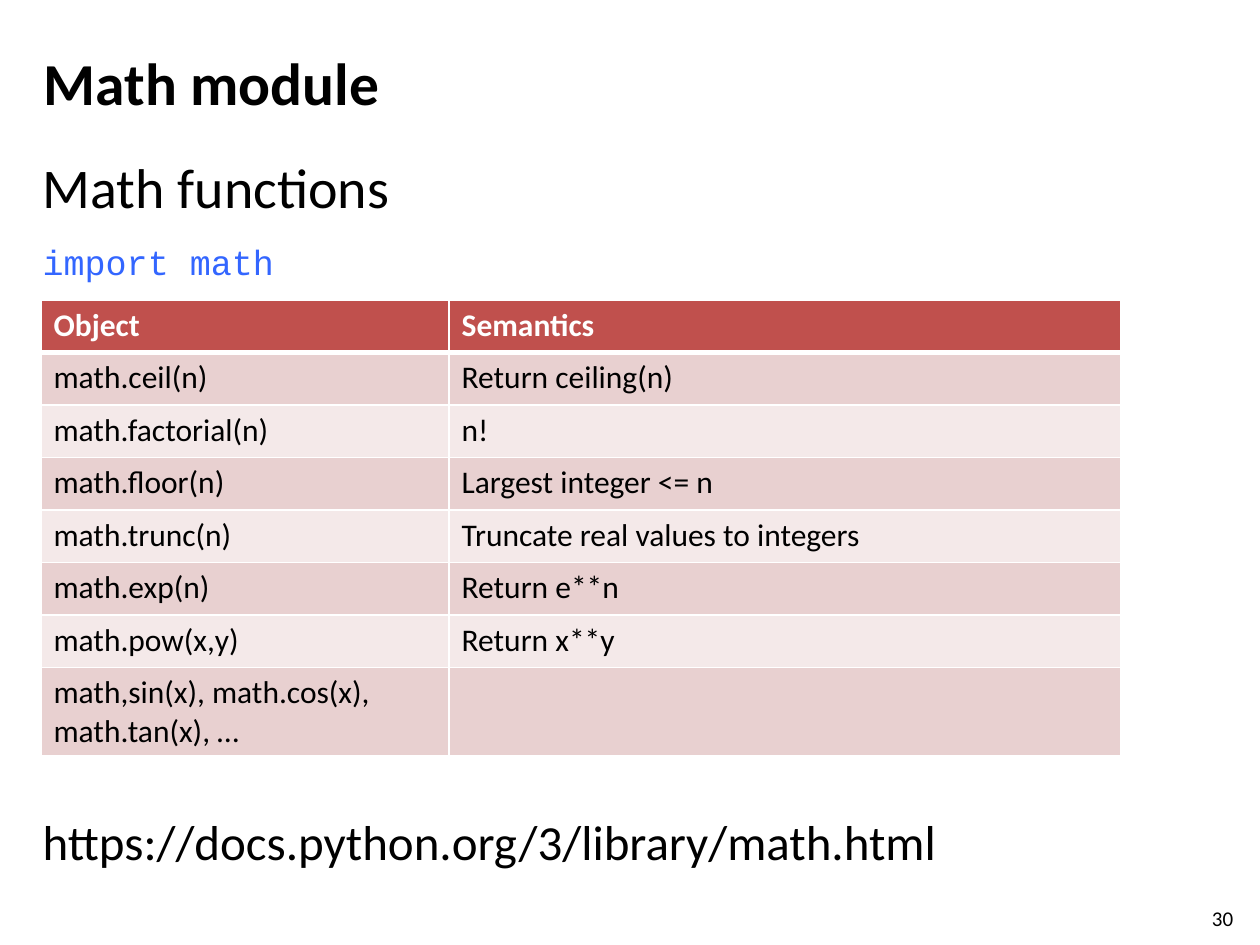
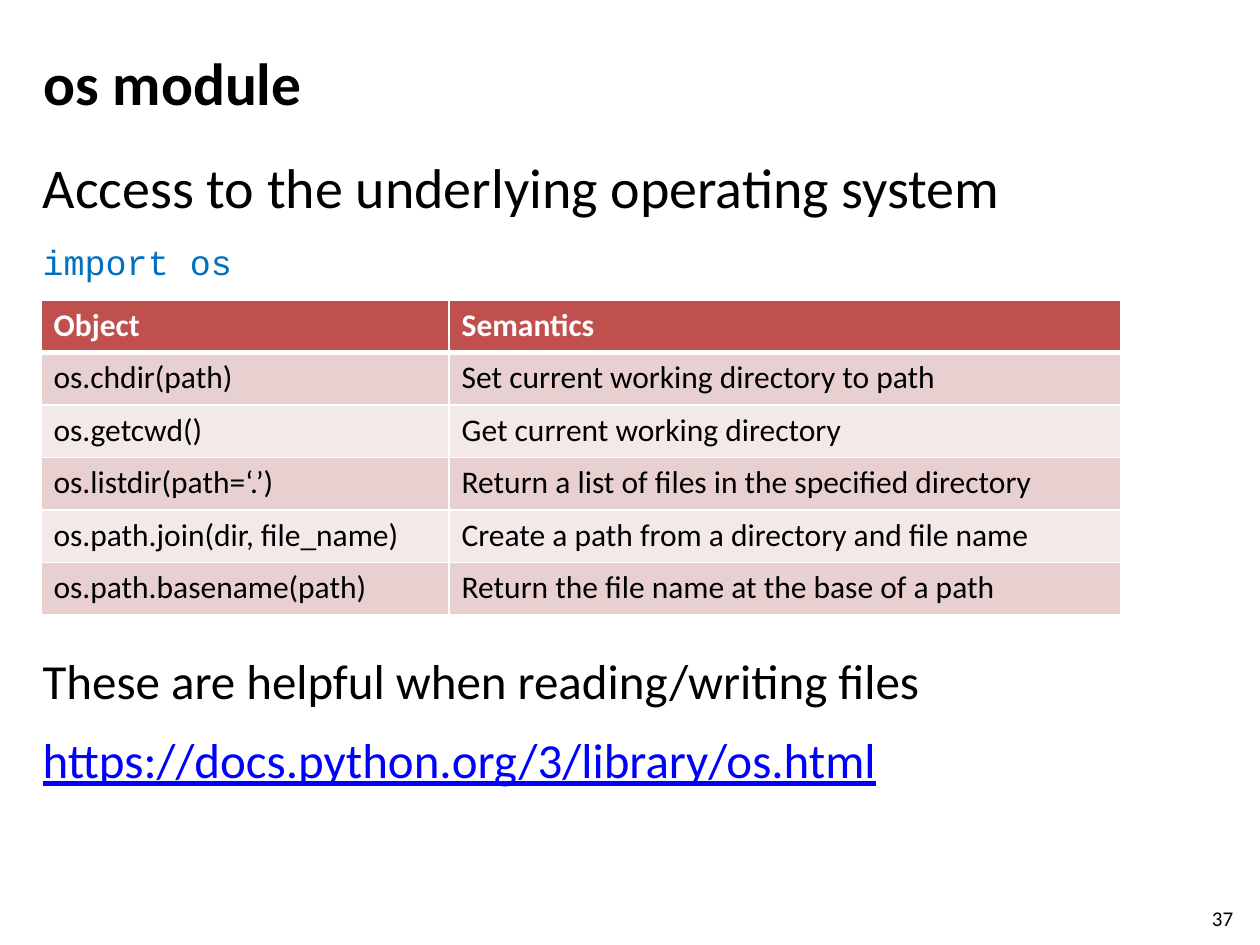
from lxml.etree import SubElement
from pptx import Presentation
from pptx.dml.color import RGBColor
from pptx.enum.text import MSO_ANCHOR as Anchor
from pptx.oxml.ns import qn
from pptx.util import Pt

# Shared look
SLIDE_W, SLIDE_H = 720, 540
BLACK, WHITE, LINK = "000000", "FFFFFF", "0000FF"
HEADER_FILL, BAND_FILLS = "C0504D", ("E8D0D0", "F4E9E9")
SANS, MONO = "Calibri", "Courier New"

# Shared regions: left, top, width, height
BODY_BOX = (17.28, 83.52, 666, 378.72)
TITLE_BOX = (18, 21.6, 624.24, 50.4)
NUMBER_BOX = (685.44, 514.08, 28.8, 17.28)
TABLE_BOX = (23.4, 171.5, 617, 30)  # height of one row
OBJECT_SHARE = 0.378  # part of the table width for the first column

MODULES = [
    dict(
        title="Math module", number="30",
        topic="Math functions", statement="import math", statement_color="3366FF",
        rows=[
            ("math.ceil(n)", "Return ceiling(n)"),
            ("math.factorial(n)", "n!"),
            ("math.floor(n)", "Largest integer <= n"),
            ("math.trunc(n)", "Truncate real values to integers"),
            ("math.exp(n)", "Return e**n"),
            ("math.pow(x,y)", "Return x**y"),
            ("math,sin(x), math.cos(x), math.tan(x), …", ""),
        ],
        table_gap=296.5,
        closing=[("https://docs.python.org/3/library/math.html", {})],
    ),
    dict(
        title="os module", number="37",
        topic="Access to the underlying operating system",
        statement="import os", statement_color="0070C0",
        rows=[
            ("os.chdir(path)", "Set current working directory to path"),
            ("os.getcwd()", "Get current working directory"),
            ("os.listdir(path=‘.’)", "Return a list of files in the specified directory"),
            ("os.path.join(dir, file_name)", "Create a path from a directory and file name"),
            ("os.path.basename(path)", "Return the file name at the base of a path"),
        ],
        table_gap=204,
        closing=[
            ("These are helpful when reading/writing files", {}),
            ("https://docs.python.org/3/library/os.html",
             dict(color=LINK, underline=True)),
        ],
    ),
]


def rgb(color):
    return RGBColor.from_string(color)


def write(frame, text, size=18, color=BLACK, font=SANS, bold=False,
          underline=False, before=0, after=0):
    """Fill the frame's first paragraph, or add one if it is taken."""
    paragraph = frame.paragraphs[0]
    if paragraph.runs:
        paragraph = frame.add_paragraph()
    paragraph.space_before, paragraph.space_after = Pt(before), Pt(after)
    run = paragraph.add_run()
    run.text = text
    run.font.name, run.font.size = font, Pt(size)
    run.font.bold, run.font.underline = bold, underline
    run.font.color.rgb = rgb(color)


def add_frame(slide, box, anchor=Anchor.TOP):
    frame = slide.shapes.add_textbox(*map(Pt, box)).text_frame
    frame.word_wrap = True
    frame.vertical_anchor = anchor
    return frame


def add_body(slide, box, module):
    body = add_frame(slide, box)
    write(body, module["topic"], size=32, after=12)
    write(body, module["statement"], size=20, font=MONO,
          color=module["statement_color"], after=6)
    # The first closing line clears the table
    gap = module["table_gap"]
    for line, style in module["closing"]:
        write(body, line, size=28, before=gap, after=12, **style)
        gap = 0


def add_borders(cell, bottom):
    properties = cell._tc.get_or_add_tcPr()
    for side, width in (("L", 1), ("R", 1), ("T", 1), ("B", bottom)):
        line = SubElement(properties, qn(f"a:ln{side}"), w=str(Pt(width)))
        fill = SubElement(line, qn("a:solidFill"))
        SubElement(fill, qn("a:srgbClr"), val=WHITE)


def add_reference_table(slide, box, entries):
    left, top, width, row_height = box
    rows = [("Object", "Semantics"), *entries]
    table = slide.shapes.add_table(
        len(rows), 2, Pt(left), Pt(top), Pt(width), Pt(row_height * len(rows))
    ).table
    for column, share in zip(table.columns, (OBJECT_SHARE, 1 - OBJECT_SHARE)):
        column.width = Pt(width * share)
    for r, row in enumerate(rows):
        header = r == 0
        table.rows[r].height = Pt(row_height)
        for c, text in enumerate(row):
            cell = table.cell(r, c)
            add_borders(cell, bottom=3 if header else 1)
            cell.fill.solid()
            cell.fill.fore_color.rgb = rgb(HEADER_FILL if header else BAND_FILLS[(r - 1) % 2])
            if text:
                write(cell.text_frame, text, bold=header, color=WHITE if header else BLACK)


def add_module_slide(deck, module):
    slide = deck.slides.add_slide(deck.slide_layouts[6])
    add_body(slide, BODY_BOX, module)
    # Title and slide number
    write(add_frame(slide, TITLE_BOX, Anchor.MIDDLE), module["title"], size=34, bold=True)
    write(add_frame(slide, NUMBER_BOX), module["number"], size=12)
    add_reference_table(slide, TABLE_BOX, module["rows"])


def main():
    deck = Presentation()
    deck.slide_width, deck.slide_height = Pt(SLIDE_W), Pt(SLIDE_H)
    for module in MODULES:
        add_module_slide(deck, module)
    deck.save("out.pptx")


if __name__ == "__main__":
    main()
